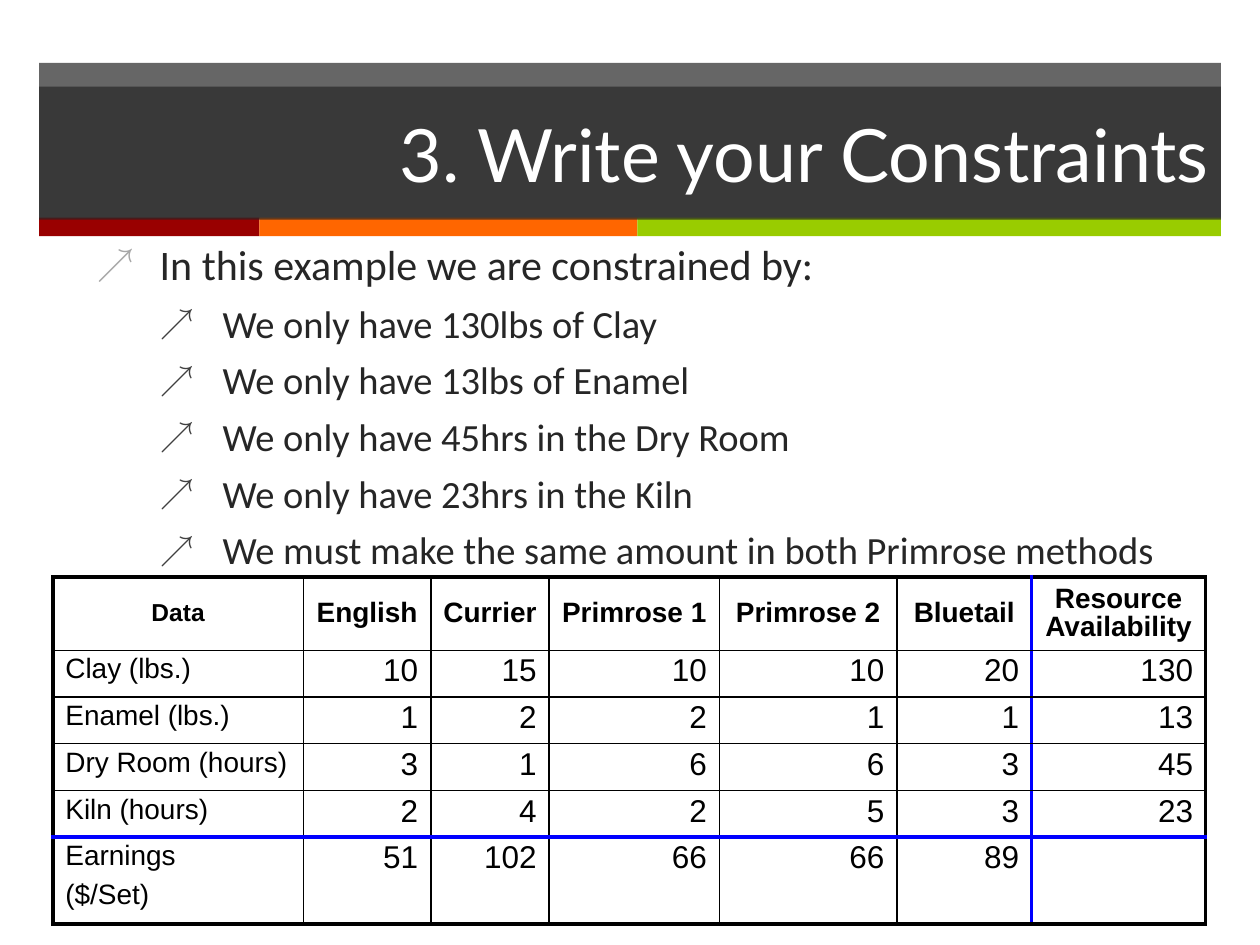
from lxml.etree import SubElement as Sub
from pptx import Presentation
from pptx.dml.color import RGBColor as RGB
from pptx.enum.shapes import MSO_SHAPE as Shape
from pptx.enum.text import MSO_ANCHOR as Anchor, PP_ALIGN as Align
from pptx.oxml.ns import qn
from pptx.util import Pt

BLACK = RGB(0, 0, 0)
WHITE = RGB(255, 255, 255)
DARK = RGB(0x26, 0x26, 0x26)
GRAY = RGB(0xA6, 0xA6, 0xA6)
SLATE = RGB(0x40, 0x40, 0x40)
BLUE = RGB(0, 0, 255)
RED = RGB(0x99, 0, 0)
ORANGE = RGB(0xFF, 0x66, 0)
GREEN = RGB(0x99, 0xCC, 0)

LIMITS = [
    "We only have 130lbs of Clay",
    "We only have 13lbs of Enamel",
    "We only have 45hrs in the Dry Room",
    "We only have 23hrs in the Kiln",
    "We must make the same amount in both Primrose methods",
]
DATA = [
    ["Data", "English", "Currier", "Primrose 1", "Primrose 2", "Bluetail",
     "Resource Availability"],
    ["Clay (lbs.)", "10", "15", "10", "10", "20", "130"],
    ["Enamel (lbs.)", "1", "2", "2", "1", "1", "13"],
    ["Dry Room (hours)", "3", "1", "6", "6", "3", "45"],
    ["Kiln (hours)", "2", "4", "2", "5", "3", "23"],
    ["Earnings\n($/Set)", "51", "102", "66", "66", "89", ""],
]
WIDTHS = [143.2, 72.8, 67.7, 97.2, 101.5, 77, 99.4]
HEIGHTS = [41.8, 26.6, 26.6, 26.6, 26.6, 49.7]


def set_font(para, name, size, color, bold=False):
    font = para.font
    font.name, font.size, font.bold = name, Pt(size), bold
    font.color.rgb = color


def add_bar(slide, x, y, w, h, color, alpha=None):
    bar = slide.shapes.add_shape(Shape.RECTANGLE, Pt(x), Pt(y), Pt(w), Pt(h))
    bar.shadow.inherit = False
    bar.line.fill.background()
    bar.fill.solid()
    bar.fill.fore_color.rgb = color
    if alpha:
        tint = bar.fill._xPr.find(".//" + qn("a:srgbClr"))
        Sub(tint, qn("a:alpha"), val=str(alpha * 1000))
    return bar


def add_head(slide, x, y, w, title):
    # Band, stripes and title
    add_bar(slide, x, y, w, 89, DARK, 70)
    left = x
    for wide, color in ((126, RED), (216, ORANGE), (w - 342, GREEN)):
        add_bar(slide, left, y + 88.4, wide, 10.6, color)
        left += wide
    bar = add_bar(slide, x, y + 13.5, w, 76, DARK, 70)
    frame = bar.text_frame
    frame.word_wrap = True
    frame.vertical_anchor = Anchor.MIDDLE
    para = frame.paragraphs[0]
    para.text = title
    para.alignment = Align.RIGHT
    set_font(para, "Lato", 42, WHITE)


def add_list(slide, x, y, w, h, lead, items):
    frame = slide.shapes.add_textbox(Pt(x), Pt(y), Pt(w), Pt(h)).text_frame
    frame.word_wrap = True
    for i, text in enumerate([lead, *items]):
        level = min(i, 1)
        para = frame.add_paragraph() if i else frame.paragraphs[0]
        para.text, para.level = text, level
        para.space_before = Pt(6 * level)
        set_font(para, "Calibri", 22 if level else 24, DARK)
        # Arrow bullet with a hanging indent
        props = para._p.get_or_add_pPr()
        props.set("marL", str(Pt(36 * (level + 1))))
        props.set("indent", str(Pt(-36)))
        marks = [Sub(props, qn("a:buClr")),
                 Sub(props, qn("a:buSzPct"), val="90000"),
                 Sub(props, qn("a:buFont"), typeface="Arial"),
                 Sub(props, qn("a:buChar"), char="\u2197")]
        Sub(marks[0], qn("a:srgbClr"), val=str(SLATE if level else GRAY))
        for mark in marks:
            props.find(qn("a:defRPr")).addprevious(mark)


def rule(edge, last, split):
    """Colour and weight of a grid line, counted from the first edge."""
    if edge == split:
        return BLUE, 2.25
    return BLACK, 2.25 if edge in (0, last) else 1


def set_edges(cell, row, col):
    props = cell._tc.get_or_add_tcPr()
    rows, cols = len(HEIGHTS), len(WIDTHS)
    edges = {
        "lnL": rule(col, cols, cols - 1),
        "lnR": rule(col + 1, cols, cols - 1),
        "lnT": rule(row, rows, rows - 1),
        "lnB": rule(row + 1, rows, rows - 1),
    }
    for tag, (color, width) in edges.items():
        line = Sub(props, qn("a:" + tag), w=str(Pt(width)))
        Sub(Sub(line, qn("a:solidFill")), qn("a:srgbClr"), val=str(color))


def fill_cell(cell, row, col, text):
    cell.margin_left = cell.margin_right = Pt(7.2)
    cell.margin_top = cell.margin_bottom = Pt(3.6)
    cell.vertical_anchor = Anchor.TOP if row else Anchor.MIDDLE
    set_edges(cell, row, col)
    cell.fill.background()
    cell.text_frame.text = text
    if row == 0:
        side, size = Align.CENTER, 16 if col else 14
    elif col == 0:
        side, size = Align.LEFT, 16
    else:
        side, size = Align.RIGHT, 18
    for para in cell.text_frame.paragraphs:
        para.alignment = side
        para.line_spacing = 0.9
        para.space_before = Pt(0.4 * size)
        set_font(para, "Arial", size, BLACK, row == 0)


def add_grid(slide, x, y):
    table = slide.shapes.add_table(
        len(HEIGHTS), len(WIDTHS), Pt(x), Pt(y),
        Pt(sum(WIDTHS)), Pt(sum(HEIGHTS))).table
    table.first_row = table.horz_banding = False
    for col, wide in enumerate(WIDTHS):
        table.columns[col].width = Pt(wide)
    for row, tall in enumerate(HEIGHTS):
        table.rows[row].height = Pt(tall)
        for col, text in enumerate(DATA[row]):
            fill_cell(table.cell(row, col), row, col, text)


deck = Presentation()
deck.slide_width, deck.slide_height = Pt(720), Pt(540)
page = deck.slides.add_slide(deck.slide_layouts[6])
add_head(page, 22.3, 36, 675.4, "3. Write your Constraints")
add_list(page, 48.2, 132.8, 642, 395,
         "In this example we are constrained by:", LIMITS)
add_grid(page, 30.2, 329.8)
deck.save("out.pptx")
